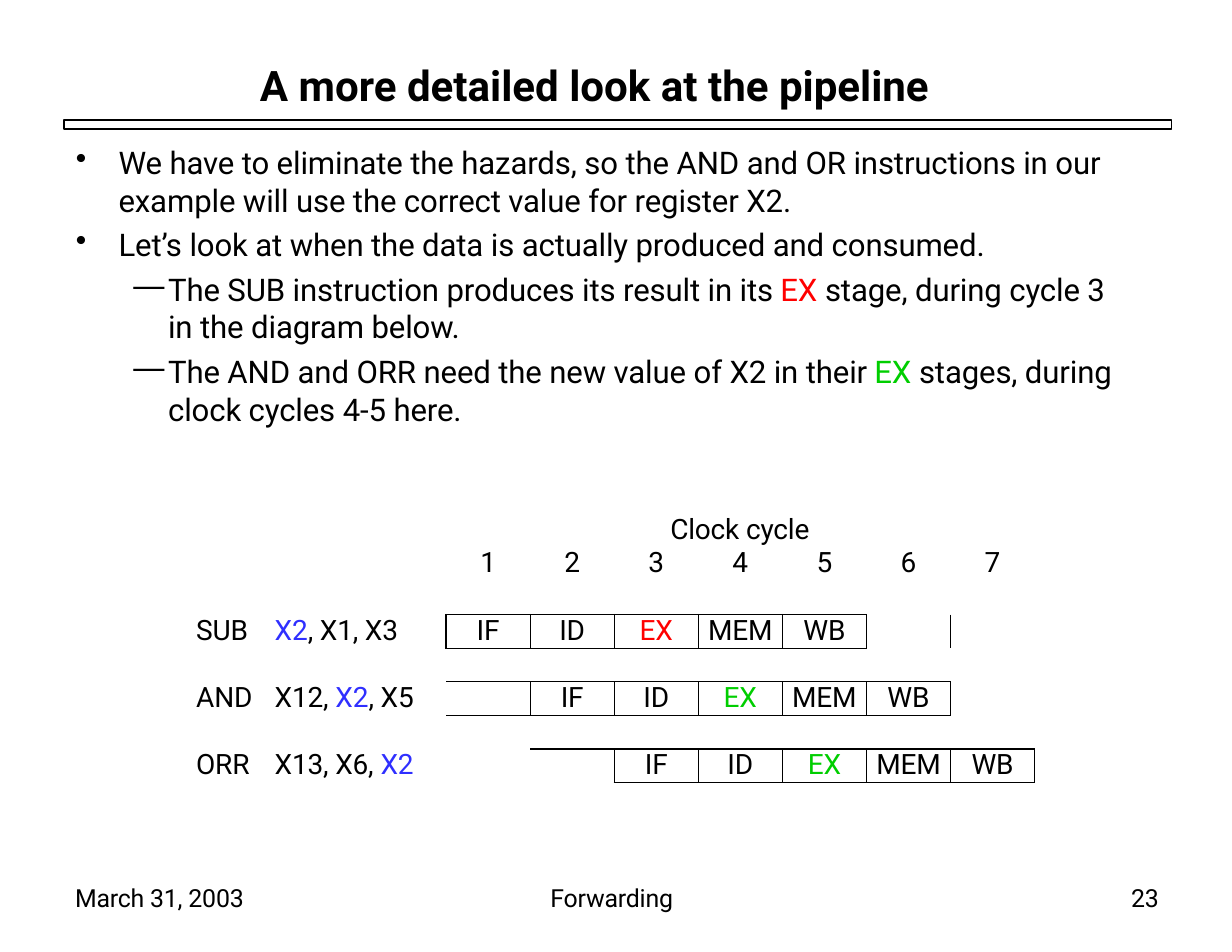
"""Build the slide on when pipeline data is produced and consumed."""
from dataclasses import dataclass
from typing import NamedTuple

from lxml.etree import SubElement
from pptx import Presentation
from pptx.dml.color import RGBColor as RGB
from pptx.enum.shapes import MSO_SHAPE as Shape
from pptx.enum.text import PP_ALIGN as Align
from pptx.oxml.ns import qn
from pptx.util import Pt

COLORS = {"text": "000000", "produce": "FF0000", "need": "00CE00", "register": "2F2FFF"}
FONT = "Roboto"
NO_STYLE = "{2D5ABB26-0587-4C30-8999-92F81FD0307C}"
STAGES = ("IF", "ID", "EX", "MEM", "WB")
CYCLES = 7
LABEL_W, CYCLE_W, ROW_H = 170.64, 54, 21.6


class Span(NamedTuple):
    text: str
    color: str = "text"


class Label(NamedTuple):
    text: str
    left: float
    top: float
    width: float
    height: float
    size: float
    bold: bool = False


@dataclass
class Bullet:
    spans: list[Span]
    char: str = "•"
    level: int = 0
    margin: float = 28
    indent: float = -27.4


@dataclass
class Instruction:
    spans: list[Span]
    ex_color: str


LABELS = [
    Label("A more detailed look at the pipeline", 167, 38.2, 460, 34, 27, True),
    Label("March 31, 2003", 48.2, 566.7, 110, 21, 16),
    Label("Forwarding", 353.5, 566.7, 82, 21, 16),
    Label("23", 726.5, 566.7, 22, 21, 16),
]
DASH = {"char": "—", "level": 1, "margin": 59.8, "indent": -22.3}
BULLETS = [
    Bullet([Span("We have to eliminate the hazards, so the AND and OR instructions in our "
                 "example will use the correct value for register X2.")]),
    Bullet([Span("Let’s look at when the data is actually produced and consumed.")]),
    Bullet([Span("The SUB instruction produces its result in its "), Span("EX ", "produce"),
            Span("stage, during cycle 3 in the diagram below.")], **DASH),
    Bullet([Span("The AND and ORR need the new value of X2 in their "), Span("EX ", "need"),
            Span("stages, during clock cycles 4-5 here.")], **DASH),
]
INSTRUCTIONS = [
    Instruction([Span("SUB\t"), Span("X2", "register"), Span(", X1, X3")], "produce"),
    Instruction([Span("AND\tX12, "), Span("X2", "register"), Span(", X5")], "need"),
    Instruction([Span("ORR\tX13, X6, "), Span("X2", "register")], "need"),
]


def write(p, spans: list[Span], size: float, bold: bool = False) -> None:
    for span in spans:
        r = p.add_run()
        r.text = span.text
        r.font.name, r.font.size, r.font.bold = FONT, Pt(size), bold
        r.font.color.rgb = RGB.from_string(COLORS[span.color])
        if not bold:
            r.font._element.set("spc", "-10")


def add_frame(slide, left: float, top: float, width: float, height: float):
    tf = slide.shapes.add_textbox(Pt(left), Pt(top), Pt(width), Pt(height)).text_frame
    tf.margin_left = tf.margin_right = tf.margin_top = tf.margin_bottom = 0
    tf.word_wrap = True
    return tf


def add_label(slide, label: Label) -> None:
    tf = add_frame(slide, label.left, label.top, label.width, label.height)
    write(tf.paragraphs[0], [Span(label.text)], label.size, label.bold)


def add_rule(slide) -> None:
    sp = slide.shapes.add_shape(Shape.RECTANGLE, Pt(41), Pt(77), Pt(711.4), Pt(5.8))
    sp.shadow.inherit = False
    sp.fill.background()
    sp.line.color.rgb = RGB.from_string(COLORS["text"])
    sp.line.width = Pt(1)


def add_bullets(slide) -> None:
    tf = add_frame(slide, 48.2, 92.2, 679, 183.6)
    for i, bullet in enumerate(BULLETS):
        p = tf.add_paragraph() if i else tf.paragraphs[0]
        p.level = bullet.level
        p.space_before = Pt(4.7 if i else 0)
        pPr = p._p.get_or_add_pPr()
        pPr.set("marL", str(Pt(bullet.margin)))
        pPr.set("indent", str(Pt(bullet.indent)))
        SubElement(pPr, qn("a:buChar"), char=bullet.char)
        write(p, bullet.spans, 20)


def add_borders(cell, sides: str) -> None:
    tcPr = cell._tc.get_or_add_tcPr()
    for side in sides:
        ln = SubElement(tcPr, qn(f"a:ln{side}"), w=str(Pt(1)))
        fill = SubElement(ln, qn("a:solidFill"))
        SubElement(fill, qn("a:srgbClr"), val=COLORS["text"])


def fill_cell(cell, spans: list[Span], margin: float = 0) -> None:
    p = cell.text_frame.paragraphs[0]
    p.line_spacing = Pt(20.8)
    if margin:
        pPr = p._p.get_or_add_pPr()
        pPr.set("marL", str(Pt(margin)))
        tabs = SubElement(pPr, qn("a:tabLst"))
        SubElement(tabs, qn("a:tab"), pos=str(Pt(50.4)), algn="l")
    else:
        p.alignment = Align.CENTER
    write(p, spans, 18)


def add_pipeline(slide) -> None:
    rows = 1 + 2 * len(INSTRUCTIONS)
    frame = slide.shapes.add_table(rows, CYCLES + 1, Pt(115.9), Pt(329.8),
                                   Pt(LABEL_W + CYCLES * CYCLE_W), Pt(ROW_H * (rows + 1)))
    table = frame.table
    table.first_row = table.horz_banding = False
    table._tbl.tblPr.find(qn("a:tableStyleId")).text = NO_STYLE
    for i, column in enumerate(table.columns):
        column.width = Pt(CYCLE_W if i else LABEL_W)
    for i, row in enumerate(table.rows):
        row.height = Pt(2 * ROW_H if i == 1 else ROW_H)

    table.cell(0, 0).merge(table.cell(0, CYCLES))
    fill_cell(table.cell(0, 0), [Span("Clock cycle")], 314.6)
    for cycle in range(1, CYCLES + 1):
        fill_cell(table.cell(1, cycle), [Span(str(cycle))])
    for i, instruction in enumerate(INSTRUCTIONS):
        row = 2 + 2 * i
        fill_cell(table.cell(row, 0), instruction.spans, 10.1)
        for cycle, stage in enumerate(STAGES, i + 1):
            cell = table.cell(row, cycle)
            color = instruction.ex_color if stage == "EX" else "text"
            fill_cell(cell, [Span(stage, color)])
            add_borders(cell, "LRTB")
        if i:
            add_borders(table.cell(row, i), "T")
    add_borders(table.cell(2, CYCLES - 1), "R")

    for cell in table.iter_cells():
        cell.margin_left = cell.margin_right = cell.margin_top = cell.margin_bottom = 0
        cell.fill.background()
        if not cell.text:
            SubElement(cell.text_frame.paragraphs[0]._p, qn("a:endParaRPr"), sz="1000")


def main() -> None:
    prs = Presentation()
    prs.slide_width, prs.slide_height = Pt(791.28), Pt(611.28)
    slide = prs.slides.add_slide(prs.slide_layouts[6])
    add_rule(slide)
    for label in LABELS:
        add_label(slide, label)
    add_bullets(slide)
    add_pipeline(slide)
    prs.save("out.pptx")


if __name__ == "__main__":
    main()
